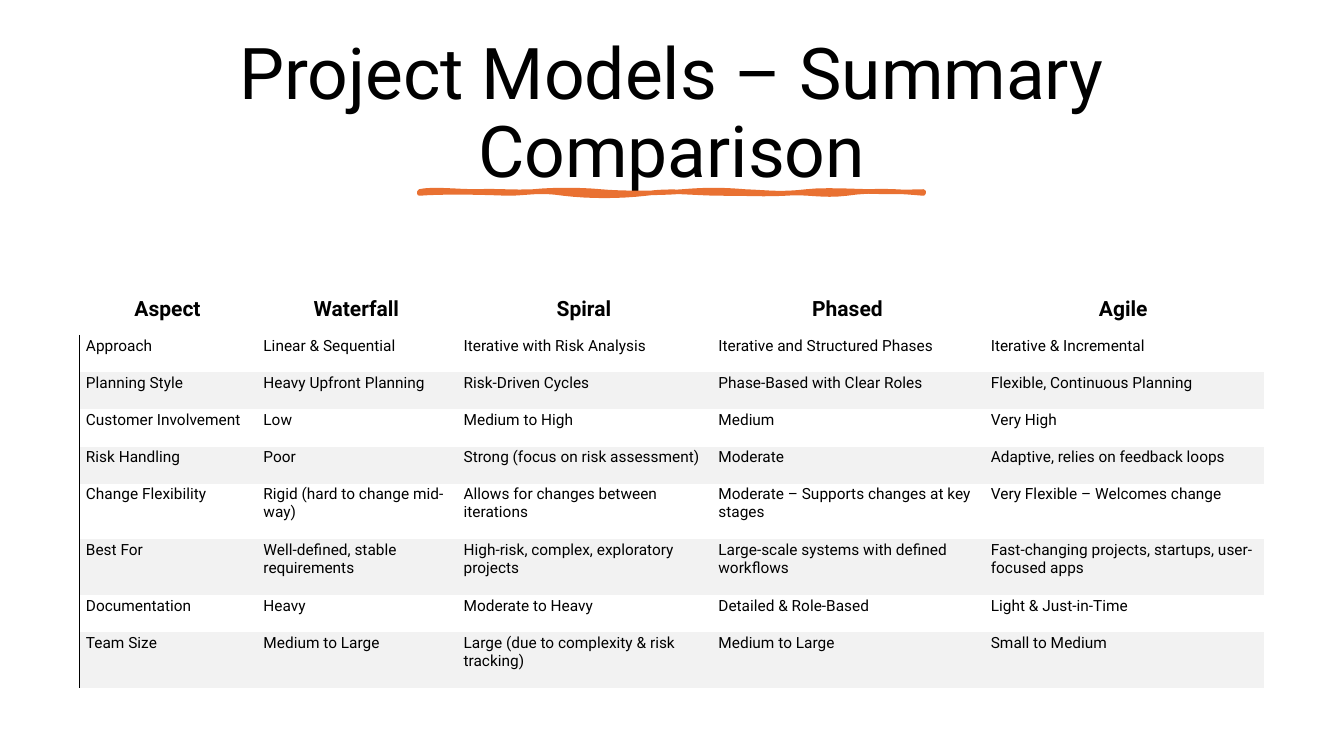
from dataclasses import dataclass

import lxml.etree
import pptx
import pptx.dml.color
import pptx.enum.text
import pptx.oxml
import pptx.oxml.ns
import pptx.util

Pt = pptx.util.Pt
RGB = pptx.dml.color.RGBColor
Align = pptx.enum.text.PP_ALIGN
Anchor = pptx.enum.text.MSO_ANCHOR
qn = pptx.oxml.ns.qn


@dataclass(frozen=True)
class Theme:
    font: str = "Roboto"
    ink: str = "000000"
    accent: str = "E97132"
    band: str = "F2F2F2"
    title: float = 51
    head: float = 15
    body: float = 11


THEME = Theme()
PLAIN = "{2D5ABB26-0587-4C30-8999-92F81FD0307C}"  # No Style, No Grid

COLS = [126.8, 143, 182, 194.6, 199.4]
LOW, TALL = 26.6, 39.7
HEIGHTS = [31.8, LOW, LOW, LOW, LOW, TALL, TALL, LOW, TALL]
ROWS = [
    ["Aspect", "Waterfall", "Spiral", "Phased", "Agile"],
    ["Approach", "Linear & Sequential", "Iterative with Risk Analysis",
     "Iterative and Structured Phases", "Iterative & Incremental"],
    ["Planning Style", "Heavy Upfront Planning", "Risk-Driven Cycles",
     "Phase-Based with Clear Roles", "Flexible, Continuous Planning"],
    ["Customer Involvement", "Low", "Medium to High", "Medium", "Very High"],
    ["Risk Handling", "Poor", "Strong (focus on risk assessment)",
     "Moderate", "Adaptive, relies on feedback loops"],
    ["Change Flexibility", "Rigid (hard to change mid-way)",
     "Allows for changes between iterations",
     "Moderate – Supports changes at key stages",
     "Very Flexible – Welcomes change"],
    ["Best For", "Well-defined, stable requirements",
     "High-risk, complex, exploratory projects",
     "Large-scale systems with defined workflows",
     "Fast-changing projects, startups, user-focused apps"],
    ["Documentation", "Heavy", "Moderate to Heavy",
     "Detailed & Role-Based", "Light & Just-in-Time"],
    ["Team Size", "Medium to Large",
     "Large (due to complexity & risk tracking)",
     "Medium to Large", "Small to Medium"],
]

# Brush stroke: a start point, then two control points and an end per curve
START = (299.5, 136.8)
CURVES = [
    ((308.2, 134.6), (326.9, 136.8), (340.6, 136.8)),
    ((354.2, 136.1), (366.5, 137.5), (380.9, 136.8)),
    ((395.3, 135.4), (413.3, 135.4), (429.1, 136.8)),
    ((444.2, 138.2), (470.2, 138.2), (487.4, 136.8)),
    ((505.4, 135.4), (514.1, 135.4), (532.1, 136.8)),
    ((549.4, 137.5), (557.3, 139), (576, 136.8)),
    ((594.7, 134.6), (624.2, 138.2), (659.5, 136.8)),
    ((660.2, 137.5), (659.5, 137.5), (659.5, 138.2)),
    ((644.4, 136.8), (622.8, 135.4), (604.8, 138.2)),
    ((586.8, 140.4), (576.7, 136.8), (560.9, 138.2)),
    ((544.3, 139), (537.8, 138.2), (516.2, 138.2)),
    ((494.6, 138.2), (480.2, 135.4), (461.5, 138.2)),
    ((442.1, 140.4), (421.2, 140.4), (402.5, 138.2)),
    ((384.5, 135.4), (376.6, 138.2), (362.2, 138.2)),
    ((347.8, 137.5), (315.4, 136.8), (299.5, 138.2)),
]


def color(code):
    return RGB.from_string(code)


def style(para, size, bold=False, align=Align.LEFT):
    para.alignment = align
    for run in para.runs:
        run.font.name = THEME.font
        run.font.size = Pt(size)
        run.font.bold = bold
        run.font.color.rgb = color(THEME.ink)


def add_title(slide, text):
    title = slide.shapes.title
    title.left, title.top = Pt(50.4), Pt(33.1)
    title.width, title.height = Pt(859), Pt(98.6)
    frame = title.text_frame
    frame.text = text
    frame.word_wrap = True
    frame.auto_size = pptx.enum.text.MSO_AUTO_SIZE.NONE
    frame.vertical_anchor = Anchor.MIDDLE
    para = frame.paragraphs[0]
    para.line_spacing = 0.9
    style(para, THEME.title, align=Align.CENTER)


def trace(start, curves, steps=8):
    """Return points along a chain of cubic curves, in EMU."""
    points = []
    for one, two, end in curves:
        for step in range(1, steps + 1):
            t = step / steps
            u = 1 - t
            points.append(tuple(
                Pt(u**3 * a + 3 * u * u * t * b + 3 * u * t * t * c + t**3 * d)
                for a, b, c, d in zip(start, one, two, end)))
        start = end
    return points


def add_stroke(slide):
    x, y = START
    pen = slide.shapes.build_freeform(Pt(x), Pt(y))
    pen.add_line_segments(trace(START, CURVES), close=True)
    stroke = pen.convert_to_shape()
    stroke.shadow.inherit = False
    stroke.fill.solid()
    stroke.fill.fore_color.rgb = color(THEME.accent)
    stroke.line.color.rgb = color(THEME.accent)
    stroke.line.width = Pt(3.25)


def add_rule(cell):
    """Draw the cell's left border."""
    props = cell._tc.get_or_add_tcPr()
    line = lxml.etree.Element(qn("a:lnL"), w=str(Pt(0.75)))
    fill = lxml.etree.SubElement(line, qn("a:solidFill"))
    lxml.etree.SubElement(fill, qn("a:srgbClr"), val=THEME.ink)
    props.insert(0, line)


def fill_cell(cell, text, row, col):
    head = row == 0
    cell.text = text
    cell.margin_left, cell.margin_top = Pt(4.4), Pt(1.3)
    cell.margin_right, cell.margin_bottom = Pt(5.8), Pt(9.4)
    cell.vertical_anchor = Anchor.BOTTOM if head else Anchor.TOP
    style(cell.text_frame.paragraphs[0],
          THEME.head if head else THEME.body, head,
          Align.CENTER if head else Align.LEFT)
    if row and row % 2 == 0:
        cell.fill.solid()
        cell.fill.fore_color.rgb = color(THEME.band)
    else:
        cell.fill.background()
    if col == 0 and not head:
        add_rule(cell)


def add_grid(slide):
    grid = slide.shapes.add_table(
        len(ROWS), len(COLS), Pt(57), Pt(207.5),
        Pt(sum(COLS)), Pt(sum(HEIGHTS))).table
    grid.first_row = grid.horz_banding = False
    grid._tbl.tblPr.find(qn("a:tableStyleId")).text = PLAIN
    for col, width in zip(grid.columns, COLS):
        col.width = Pt(width)
    for r, (height, texts) in enumerate(zip(HEIGHTS, ROWS)):
        grid.rows[r].height = Pt(height)
        for c, text in enumerate(texts):
            fill_cell(grid.cell(r, c), text, r, c)


def main():
    deck = pptx.Presentation()
    deck.slide_width, deck.slide_height = Pt(960), Pt(540)
    slide = deck.slides.add_slide(deck.slide_layouts[5])
    add_title(slide, "Project Models – Summary Comparison")
    add_stroke(slide)
    add_grid(slide)
    deck.save("out.pptx")


if __name__ == "__main__":
    main()
